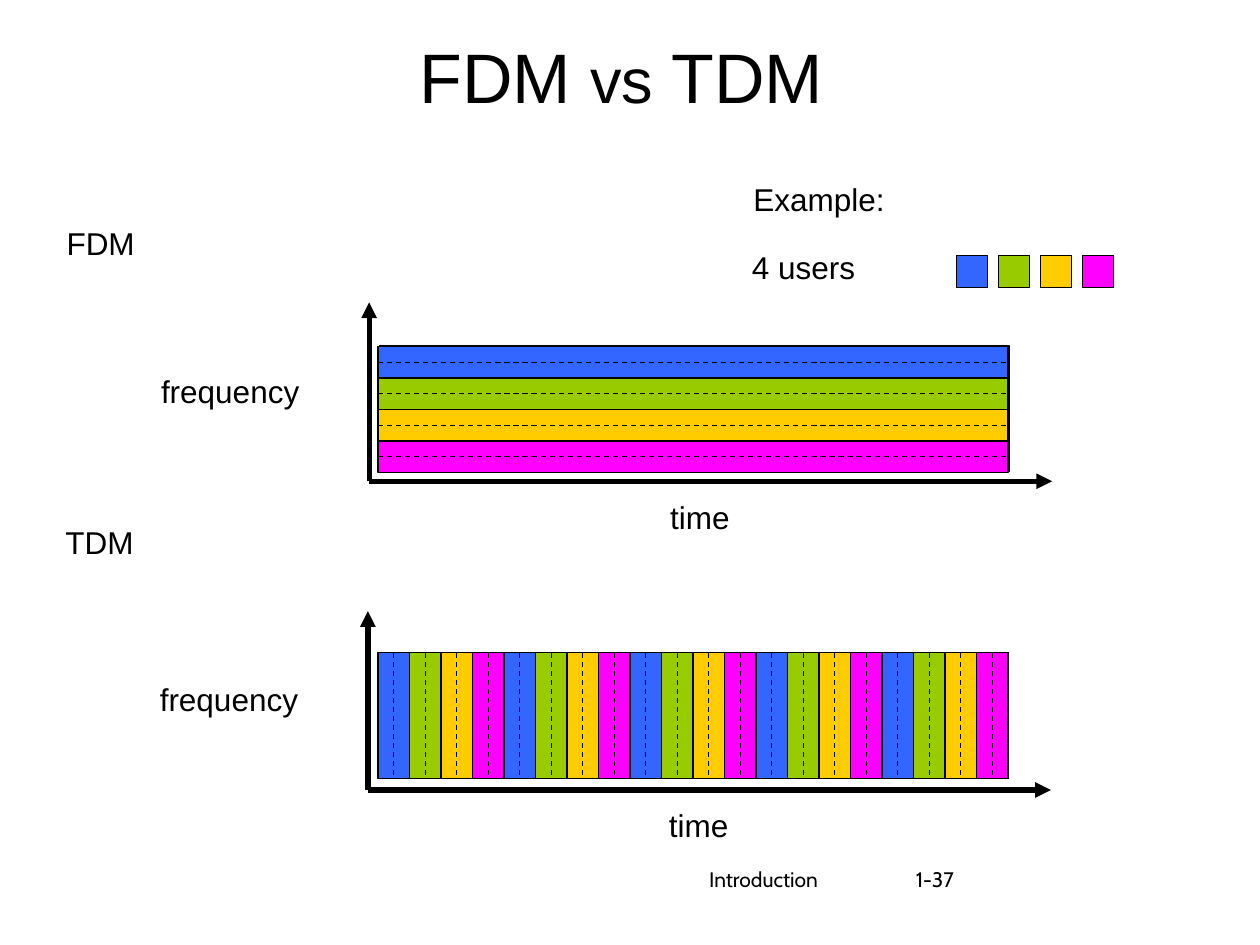
import pptx
import pptx.dml.color
import pptx.enum.dml
import pptx.enum.shapes
import pptx.enum.text
import pptx.oxml.ns
import pptx.util
from lxml import etree
from pptx.util import Inches

RGBColor = pptx.dml.color.RGBColor
ALIGN = pptx.enum.text.PP_ALIGN
ANCHOR = pptx.enum.text.MSO_ANCHOR

BLACK = RGBColor(0x00, 0x00, 0x00)
FRAME_FILL = RGBColor(0xBB, 0xE0, 0xE3)
USER_COLORS = [
    RGBColor(0x33, 0x66, 0xFF),
    RGBColor(0x99, 0xCC, 0x00),
    RGBColor(0xFF, 0xCC, 0x00),
    RGBColor(0xFF, 0x00, 0xFF),
]
BAND = 0.25
GRID_WIDTH, GRID_HEIGHT = 5, 1


def add_text(slide, text, left, top, width, height, size=18, font="Arial",
             align=ALIGN.LEFT, anchor=ANCHOR.TOP):
    """Add a text box; text is a string or a list of (string, size) pairs."""
    box = slide.shapes.add_textbox(Inches(left), Inches(top), Inches(width), Inches(height))
    frame = box.text_frame
    frame.word_wrap = True
    frame.vertical_anchor = anchor
    paragraph = frame.paragraphs[0]
    paragraph.alignment = align
    pieces = [(text, size)] if isinstance(text, str) else text
    for piece, piece_size in pieces:
        run = paragraph.add_run()
        run.text = piece
        run.font.name = font
        run.font.size = pptx.util.Pt(piece_size)
        run.font.color.rgb = BLACK


def add_rect(slide, left, top, width, height, fill):
    """Add a filled rectangle with a thin black outline."""
    rect = slide.shapes.add_shape(pptx.enum.shapes.MSO_SHAPE.RECTANGLE, Inches(left),
                                  Inches(top), Inches(width), Inches(height))
    rect.shadow.inherit = False
    rect.fill.solid()
    rect.fill.fore_color.rgb = fill
    rect.line.color.rgb = BLACK
    rect.line.width = pptx.util.Pt(0.75)


def add_line(slide, x1, y1, x2, y2, width=0.75, dashed=False, arrow=False):
    """Add a straight black line, optionally dashed or with an arrowhead at its end."""
    connector = slide.shapes.add_connector(pptx.enum.shapes.MSO_CONNECTOR.STRAIGHT,
                                           Inches(x1), Inches(y1), Inches(x2), Inches(y2))
    connector.line.color.rgb = BLACK
    connector.line.width = pptx.util.Pt(width)
    if dashed:
        connector.line.dash_style = pptx.enum.dml.MSO_LINE.DASH
    qn = pptx.oxml.ns.qn
    if arrow:
        etree.SubElement(connector.line._get_or_add_ln(), qn("a:tailEnd"), type="triangle")
    etree.SubElement(connector._element.spPr, qn("a:effectLst"))


def add_axes(slide, left, top):
    """Draw the frequency and time axes with their labels."""
    width, height = 5.42, 1.42
    bottom = top + height
    add_line(slide, left, bottom, left, top, width=3, arrow=True)
    add_text(slide, "frequency", left - 1.75, top + 0.5, 1.67, 0.5)
    add_line(slide, left, bottom, left + width, bottom, width=3, arrow=True)
    add_text(slide, "time", left + 2.29, top + 1.5, 0.83, 0.5)


def add_bands(slide, left, top, by_time):
    """Split the grid into coloured bands, along time or along frequency."""
    count = int((GRID_WIDTH if by_time else GRID_HEIGHT) / BAND)

    def add_divider(offset, dashed):
        """Cross the grid with a line at the given offset."""
        if by_time:
            add_line(slide, left + offset, top, left + offset, top + GRID_HEIGHT, dashed=dashed)
        else:
            add_line(slide, left, top + offset, left + GRID_WIDTH, top + offset, dashed=dashed)

    for index in range(count):
        offset = index * BAND
        color = USER_COLORS[index % len(USER_COLORS)]
        if by_time:
            add_rect(slide, left + offset, top, BAND, GRID_HEIGHT, color)
        else:
            add_rect(slide, left, top + offset, GRID_WIDTH, BAND, color)
    for index in range(1, count):
        add_divider(index * BAND, dashed=False)
    for index in range(count):
        add_divider((index + 0.5) * BAND, dashed=True)


def add_legend(slide, left, top):
    """Show the example heading and one swatch per user."""
    add_text(slide, "Example:", left + 0.01, top, 1.59, 0.5)
    add_text(slide, "4 users", left, top + 0.54, 1.3, 0.5)
    for index, color in enumerate(USER_COLORS):
        add_rect(slide, left + 1.72 + index / 3, top + 0.65, BAND, BAND, color)


def add_footer(slide, top):
    """Place the chapter name and the page number."""
    add_text(slide, "Introduction", 3.42, top, 3.17, 0.52, size=12, font="Cabin",
             align=ALIGN.RIGHT)
    add_text(slide, "1-37", 7.17, top, 2.33, 0.52, size=12, font="Cabin")


def main():
    """Build the slide and save it."""
    deck = pptx.Presentation()
    deck.slide_width, deck.slide_height = Inches(10), Inches(7.5)
    slide = deck.slides.add_slide(deck.slide_layouts[6])

    add_text(slide, [("FDM ", 40), ("vs", 36), (" TDM", 40)], 0.3, 0.08, 9.26, 1.04,
             align=ALIGN.CENTER, anchor=ANCHOR.MIDDLE)
    add_legend(slide, 5.87, 1.38)

    add_text(slide, "FDM", 0.43, 1.73, 0.92, 0.5)
    add_axes(slide, 2.93, 2.4)
    add_rect(slide, 3.01, 2.74, GRID_WIDTH, GRID_HEIGHT, FRAME_FILL)
    add_bands(slide, 3, 2.75, by_time=False)

    add_text(slide, "TDM", 0.42, 4.1, 0.92, 0.5)
    add_axes(slide, 2.92, 4.85)
    add_rect(slide, 3, 5.18, GRID_WIDTH, GRID_HEIGHT, FRAME_FILL)
    add_bands(slide, 3, 5.18, by_time=True)

    add_footer(slide, 6.83)
    deck.save("out.pptx")


if __name__ == "__main__":
    main()
